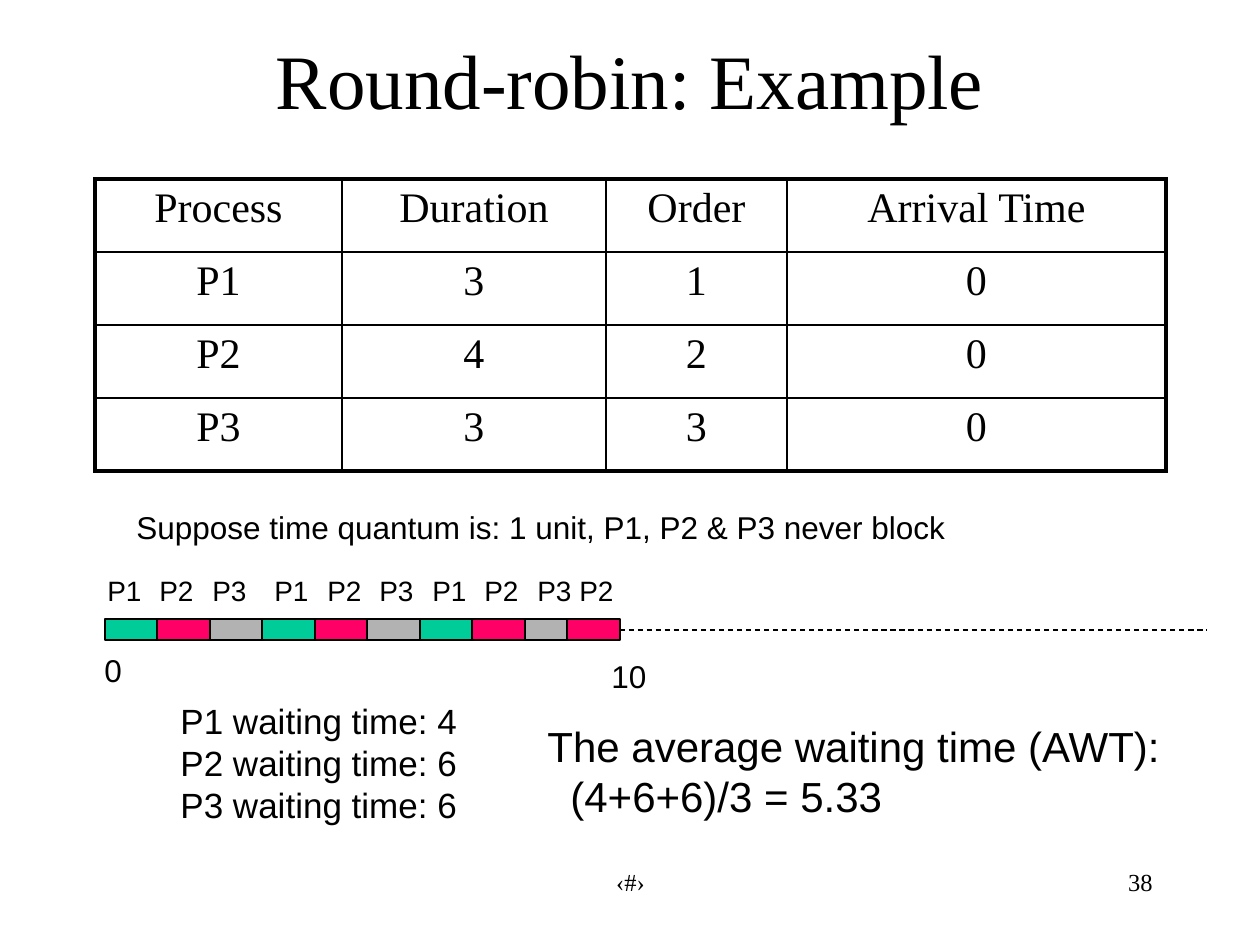
import pptx
import pptx.util
import pptx.dml.color
import pptx.enum.dml
import pptx.enum.shapes
import pptx.enum.text
import pptx.oxml
import pptx.oxml.ns
import lxml.etree

PX = 914400 / 126
COLORS = {"ink": "000000", "P1": "00CC99", "P2": "FF0066", "P3": "B2B2B2"}
SERIF, SANS = "Times New Roman", "Arial"
ALIGN = pptx.enum.text.PP_ALIGN
INK = pptx.dml.color.RGBColor.from_string(COLORS["ink"])

deck = pptx.Presentation()
deck.slide_width, deck.slide_height = pptx.util.Inches(10), pptx.util.Inches(7.5)
slide = deck.slides.add_slide(deck.slide_layouts[5])


def px(*lengths):
    return [pptx.util.Emu(round(length * PX)) for length in lengths]


def write(frame, lines, size, font, align=ALIGN.LEFT):
    """Put each line in its own paragraph and return the paragraphs."""
    for number, line in enumerate(lines):
        paragraph = frame.add_paragraph() if number else frame.paragraphs[0]
        paragraph.alignment = align
        run = paragraph.add_run()
        run.text = line
        run.font.size = pptx.util.Pt(size)
        run.font.name = font
        run.font.color.rgb = INK
    return frame.paragraphs


# Title
title = slide.shapes.title
title.left, title.top, title.width, title.height = px(94, 0, 1072, 158)
title.text_frame.auto_size = pptx.enum.text.MSO_AUTO_SIZE.NONE
title.text_frame.vertical_anchor = pptx.enum.text.MSO_ANCHOR.MIDDLE
write(title.text_frame, ["Round-robin: Example"], 44, SERIF, ALIGN.CENTER)

# Process table
processes = [
    ["Process", "Duration", "Order", "Arrival Time"],
    ["P1", "3", "1", "0"],
    ["P2", "4", "2", "0"],
    ["P3", "3", "3", "0"],
]
column_widths = [247, 264, 181, 379]
row_height = 73
last = len(processes) - 1
table = slide.shapes.add_table(
    4, 4, *px(95, 179, sum(column_widths), 4 * row_height)).table
table.first_row = table.horz_banding = False
for column, width in zip(table.columns, column_widths):
    column.width = px(width)[0]
for r, values in enumerate(processes):
    table.rows[r].height = px(row_height)[0]
    for c, value in enumerate(values):
        cell = table.cell(r, c)
        write(cell.text_frame, [value], 24, SERIF, ALIGN.CENTER)
        outer = {"lnL": c == 0, "lnR": c == last, "lnT": r == 0, "lnB": r == last}
        properties = cell._tc.get_or_add_tcPr()
        for side, is_outer in outer.items():
            points = 2.25 if is_outer else 1
            properties.append(pptx.oxml.parse_xml(
                f'<a:{side} {pptx.oxml.ns.nsdecls("a")} w="{pptx.util.Pt(points)}">'
                f'<a:solidFill><a:srgbClr val="{COLORS["ink"]}"/></a:solidFill>'
                f'</a:{side}>'))
        cell.fill.background()

# Time axis
axis = slide.shapes.add_connector(
    pptx.enum.shapes.MSO_CONNECTOR.STRAIGHT, *px(105, 630, 1207, 630))
axis.line.color.rgb = INK
axis.line.width = pptx.util.Pt(0.75)
axis.line.dash_style = pptx.enum.dml.MSO_LINE.DASH
lxml.etree.SubElement(axis._element.spPr, pptx.oxml.ns.qn("a:effectLst"))

# Time slots; the last one overlaps its neighbour
schedule = ["P1", "P2", "P3"] * 3 + ["P2"]
slot_lefts = [105 + i * 105 // 2 for i in range(9)] + [567]
captions = []
for i, (process, left) in enumerate(zip(schedule, slot_lefts)):
    slot = slide.shapes.add_shape(
        pptx.enum.shapes.MSO_SHAPE.RECTANGLE, *px(left, 619, 53, 21))
    slot.shadow.inherit = False
    slot.fill.solid()
    slot.fill.fore_color.rgb = pptx.dml.color.RGBColor.from_string(COLORS[process])
    slot.line.color.rgb = INK
    slot.line.width = pptx.util.Pt(0.75)
    label_left = left - 10 if i < 3 else left
    captions.append((label_left, 567, 59, 46, [process], 16))

captions += [
    (92, 645, 43, 50, ["0"], 18),
    (599, 651, 60, 50, ["10"], 18),
    (124, 502, 834, 50,
     ["Suppose time quantum is: 1 unit, P1, P2 & P3 never block"], 18),
    (168, 693, 311, 139,
     ["P1 waiting time: 4", "P2 waiting time: 6", "P3 waiting time: 6"], 20),
    (535, 714, 651, 113,
     ["The average waiting time (AWT):", "(4+6+6)/3 = 5.33"], 24),
]
for left, top, width, height, lines, size in captions:
    frame = slide.shapes.add_textbox(*px(left, top, width, height)).text_frame
    frame.word_wrap = False
    paragraphs = write(frame, lines, size, SANS)
    if size == 24:
        paragraphs[1]._p.get_or_add_pPr().set("marL", str(px(23)[0]))

# Footer
for left, width, text, align in [
    (903, 262, "38", ALIGN.RIGHT),
    (431, 399, "‹#›", ALIGN.CENTER),
]:
    frame = slide.shapes.add_textbox(*px(left, 861, width, 63)).text_frame
    frame.word_wrap = True
    write(frame, [text], 14, SERIF, align)

deck.save("out.pptx")
